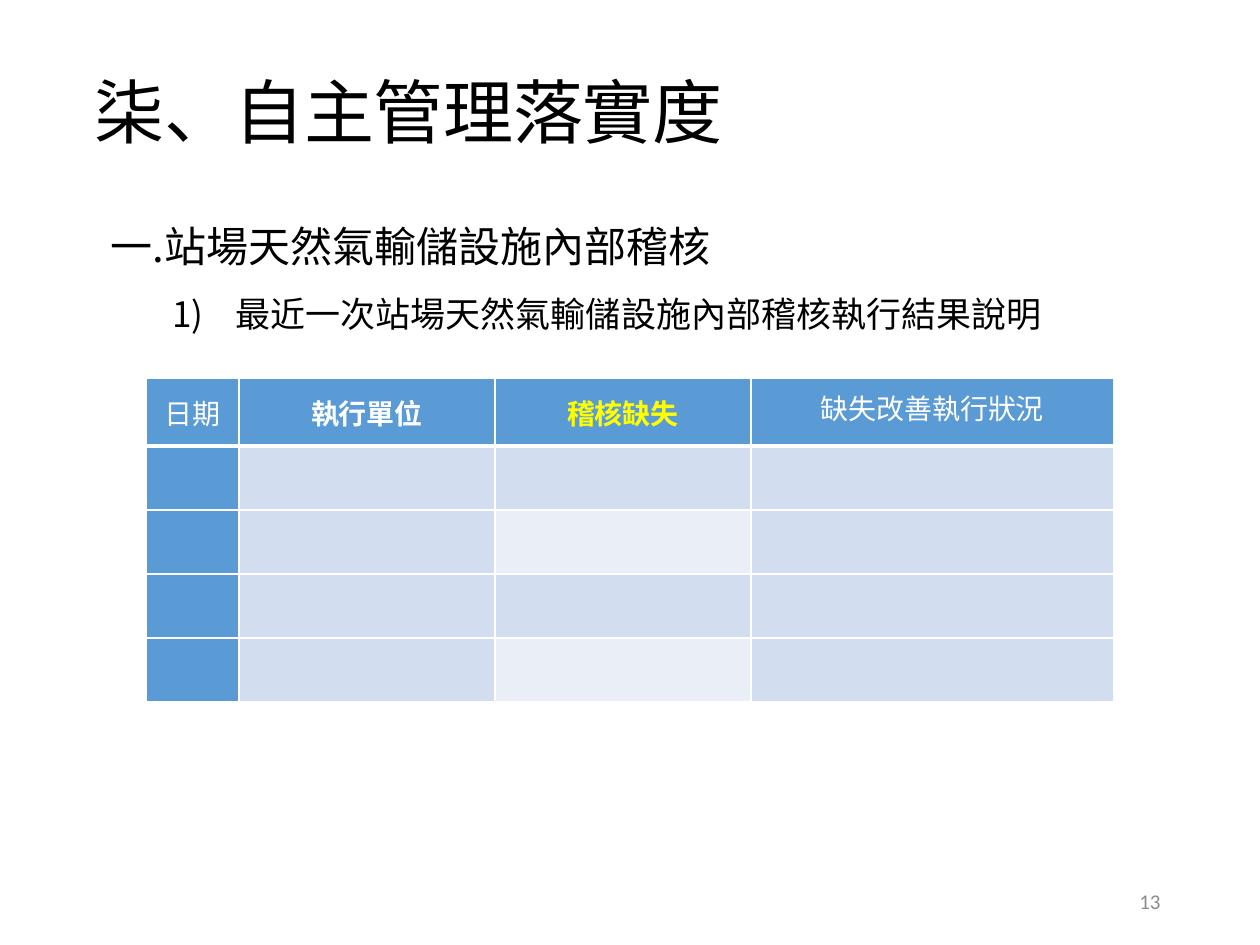
from lxml import etree
from pptx import Presentation
from pptx import util as u
from pptx.dml.color import RGBColor
from pptx.enum import text
from pptx.oxml.ns import qn

COLORS = {"ink": "000000", "white": "FFFFFF", "muted": "8C8C8C", "mark": "FFFF00",
          "blue": "5B9BD5", "band": "D2DEEF", "pale": "EAEFF7"}
CJK = "Noto Sans CJK SC"
AL = text.PP_ALIGN


def px(n):
    return u.Emu(round(n * 914400 / 126))


def rgb(name):
    return RGBColor.from_string(COLORS[name])


class Deck:
    def __init__(self, width, height):
        self.prs = Presentation()
        self.prs.slide_width, self.prs.slide_height = px(width), px(height)
        self.s = self.prs.slides.add_slide(self.prs.slide_layouts[6])

    def style(self, p, size, color="ink", font=CJK, bold=False, align=AL.LEFT, spacing=None):
        p.alignment = align
        if spacing:
            p.line_spacing = spacing
        for r in p.runs:
            f = r.font
            f.size, f.bold, f.name = u.Pt(size), bold, font
            f.color.rgb = rgb(color)
            etree.SubElement(r._r.get_or_add_rPr(), qn("a:ea"), typeface=font)

    def box(self, x, y, w, h, lines, inset=True):
        tf = self.s.shapes.add_textbox(px(x), px(y), px(w), px(h)).text_frame
        tf.word_wrap = True
        tf.vertical_anchor = text.MSO_ANCHOR.MIDDLE
        if not inset:
            tf.margin_left = tf.margin_right = tf.margin_top = tf.margin_bottom = 0
        tf.text = "\n".join(lines)
        return tf.paragraphs

    def number(self, p, left, indent):
        pPr = p._p.get_or_add_pPr()
        pPr.set("marL", str(px(left)))
        pPr.set("indent", str(px(indent)))
        etree.SubElement(pPr, qn("a:buFont"), typeface=CJK)
        etree.SubElement(pPr, qn("a:buAutoNum"), type="arabicParenR")

    def borders(self, cell, **widths):
        tcPr = cell._tc.get_or_add_tcPr()
        for i, side in enumerate("LRTB"):
            ln = etree.Element(qn(f"a:ln{side}"), w=str(u.Pt(widths.get(side, 1))))
            fill = etree.SubElement(ln, qn("a:solidFill"))
            etree.SubElement(fill, qn("a:srgbClr"), val=COLORS["white"])
            tcPr.insert(i, ln)

    def table(self, x, y, cols, rows, heads):
        shape = self.s.shapes.add_table(len(rows), len(cols), px(x), px(y),
                                        px(sum(cols)), px(sum(rows)))
        t = shape.table
        for col, w in zip(t.columns, cols):
            col.width = px(w)
        for row, h in zip(t.rows, rows):
            row.height = px(h)
        for i in range(len(rows)):
            for j in range(len(cols)):
                cell = t.cell(i, j)
                pale = j == 2 and i % 2 == 0
                name = "blue" if i == 0 or j == 0 else "pale" if pale else "band"
                cell.fill.solid()
                cell.fill.fore_color.rgb = rgb(name)
                self.borders(cell, B=1 if i else 3)
        for cell, (label, look) in zip(t.rows[0].cells, heads):
            cell.text = label
            cell.vertical_anchor = text.MSO_ANCHOR.MIDDLE
            cell.margin_left = cell.margin_right = px(9)
            cell.margin_top = cell.margin_bottom = 0
            self.style(cell.text_frame.paragraphs[0], 16, align=AL.CENTER,
                       **{"color": "white", **look})


def main():
    d = Deck(1260, 945)

    page = d.box(890, 876, 283, 50, ["13"])[0]
    d.style(page, 12, "muted", "Calibri", align=AL.RIGHT)

    title = d.box(95, 77, 961, 77, ["柒、自主管理落實度"], inset=False)[0]
    d.style(title, 40, spacing=0.9)
    title.runs[0].font._element.set("spc", "-10")

    section, item = d.box(98, 189, 1040, 152, ["一.站場天然氣輸儲設施內部稽核",
                                               "最近一次站場天然氣輸儲設施內部稽核執行結果說明"])
    d.style(section, 24, spacing=1.5)
    d.number(item, 125, -63)
    d.style(item, 20, spacing=1.5)

    d.table(146, 378, [93, 256, 256, 363], [68] + [64] * 4, [
        ("日期", {}),
        ("執行單位", {"bold": True}),
        ("稽核缺失", {"bold": True, "color": "mark"}),
        ("缺失改善執行狀況", {"spacing": u.Pt(18)}),
    ])
    d.prs.save("out.pptx")


if __name__ == "__main__":
    main()
